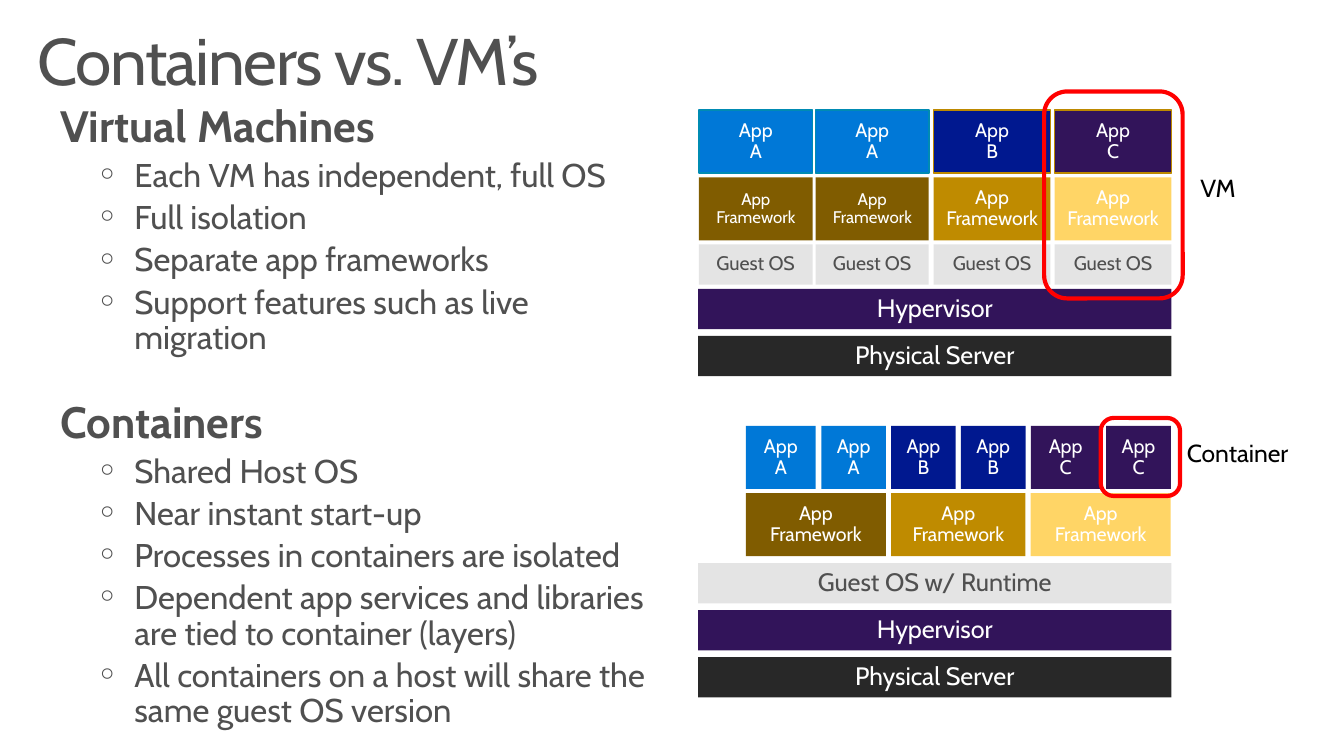
import pptx
import pptx.util
import pptx.dml.color
import pptx.enum.shapes
import pptx.enum.text
import pptx.oxml.ns
import lxml.etree

Pt = pptx.util.Pt
SHAPES = pptx.enum.shapes.MSO_SHAPE
ANCHOR = pptx.enum.text.MSO_ANCHOR
CENTER = pptx.enum.text.PP_ALIGN.CENTER

FONT = "Cabin"
COLORS = {
    "text": "505050", "black": "000000", "white": "FFFFFF", "red": "FF0000",
    "blue": "0078D7", "navy": "00188F", "purple": "32145A",
    "brown": "805C00", "gold": "BF8B00", "yellow": "FFD566",
    "gray": "E4E4E4", "charcoal": "282828", "teal line": "008BB3", "gold line": "BD8900",
}

# Content
TITLE = "Containers vs. VM’s"
SECTIONS = [
    ("Virtual Machines", [
        "Each VM has independent, full OS",
        "Full isolation",
        "Separate app frameworks",
        "Support features such as live migration",
    ]),
    ("Containers", [
        "Shared Host OS",
        "Near instant start-up",
        "Processes in containers are isolated",
        "Dependent app services and libraries are tied to container (layers)",
        "All containers on a host will share the same guest OS version",
    ]),
]
# left, width, app, app fill, app line, framework fill, framework text size
VM_COLUMNS = [
    (374.4, 61, "A", "blue", "teal line", "brown", 9),
    (437, 60.6, "A", "blue", "teal line", "brown", 9),
    (500.2, 62.6, "B", "navy", "gold line", "gold", 10.5),
    (565, 62.6, "C", "purple", "gold line", "yellow", 10.5),
]
# left, width, app, app fill, framework fill, width of the first app
CONTAINER_GROUPS = [
    (399.6, 75, "A", "blue", "brown", 37.4),
    (477.4, 72, "B", "navy", "gold", 34.6),
    (552.2, 75, "C", "purple", "yellow", 37.4),
]
# text, fill, text colour
VM_BARS = [("Hypervisor", "purple", "white"), ("Physical Server", "charcoal", "white")]
CONTAINER_BARS = [("Guest OS w/ Runtime", "gray", "text")] + VM_BARS
# label, label left, top and width, outline left, top, width, height
CALLOUTS = [
    ("VM", 632.2, 87.1, 42.5, 559.4, 49, 74.2, 110.9),
    ("Container", 625, 229, 79.2, 589.7, 223.9, 42.5, 41.8),
]

# Layout
STACK_LEFT, STACK_WIDTH = 374, 253.6
BLOCK_HEIGHT, BAR_HEIGHT = 33.8, 21.6
BLOCK_STEP, BAR_STEP = 36, 25.2
VM_TOP, VM_BARS_TOP = 59, 154.8
CONTAINER_TOP, CONTAINER_BARS_TOP = 228.2, 301.7
SECOND_APP_WIDTH = 34.6

presentation = pptx.Presentation()
presentation.slide_width, presentation.slide_height = Pt(720), Pt(405)
slide = presentation.slides.add_slide(presentation.slide_layouts[6])


def rgb(name):
    return pptx.dml.color.RGBColor.from_string(COLORS[name])


def style(paragraph, size, color, bold=False):
    paragraph.line_spacing = 0.9
    font = paragraph.font
    font.name, font.size, font.bold = FONT, Pt(size), bold
    font.color.rgb = rgb(color)


def set_margins(frame, horizontal, vertical):
    frame.margin_left = frame.margin_right = Pt(horizontal)
    frame.margin_top = frame.margin_bottom = Pt(vertical)


def add_text_box(left, top, width, height, horizontal, vertical, wrap=True):
    frame = slide.shapes.add_textbox(Pt(left), Pt(top), Pt(width), Pt(height)).text_frame
    frame.word_wrap = wrap
    set_margins(frame, horizontal, vertical)
    return frame


def add_bullet(paragraph):
    properties = paragraph._p.get_or_add_pPr()
    properties.set("marL", str(Pt(39.6)))
    properties.set("indent", str(-Pt(20.2)))
    for tag, attribute, value in [("a:buSzPct", "val", "110000"),
                                  ("a:buFont", "typeface", FONT),
                                  ("a:buChar", "char", "◦")]:
        element = lxml.etree.SubElement(properties, pptx.oxml.ns.qn(tag))
        element.set(attribute, value)


def add_block(left, top, width, height, lines, fill, size, color="white", line=None):
    shape = slide.shapes.add_shape(SHAPES.RECTANGLE, Pt(left), Pt(top), Pt(width), Pt(height))
    shape.shadow.inherit = False
    shape.fill.solid()
    shape.fill.fore_color.rgb = rgb(fill)
    if line:
        shape.line.color.rgb = rgb(line)
        shape.line.width = Pt(0.85)
    else:
        shape.line.fill.background()
    frame = shape.text_frame
    frame.vertical_anchor = ANCHOR.MIDDLE
    set_margins(frame, 5, 5)
    frame.text = "\n".join(lines)
    for paragraph in frame.paragraphs:
        paragraph.alignment = CENTER
        style(paragraph, size, color)


def add_bars(bars, top):
    for index, (text, fill, color) in enumerate(bars):
        add_block(STACK_LEFT, top + index * BAR_STEP, STACK_WIDTH, BAR_HEIGHT,
                  [text], fill, 13.5, color)


# Title
title = add_text_box(8.6, 7.9, 688.3, 46, 11.5, 7.2).paragraphs[0]
title_run = title.add_run()
title_run.text = TITLE
style(title, 35.3, "text")
title_run._r.get_or_add_rPr().set("spc", "-80")

# Bulleted sections
body = add_text_box(20.9, 49, 345.6, 360.7, 11.5, 7.2)
for section_index, (heading, bullets) in enumerate(SECTIONS):
    paragraph = body.add_paragraph() if section_index else body.paragraphs[0]
    paragraph.text = heading
    style(paragraph, 23.5, "text", bold=True)
    paragraph.space_before = Pt(23.5 if section_index else 0)
    for bullet in bullets:
        paragraph = body.add_paragraph()
        paragraph.text = bullet
        add_bullet(paragraph)
        style(paragraph, 17.6, "text")
        paragraph.space_before = Pt(3.6)

# Virtual machine stack
for left, width, app, app_fill, app_line, framework_fill, size in VM_COLUMNS:
    add_block(left, VM_TOP, width, BLOCK_HEIGHT, ["App", app], app_fill, 10.5, line=app_line)
    add_block(left, VM_TOP + BLOCK_STEP, width, BLOCK_HEIGHT,
              ["App", "Framework"], framework_fill, size)
    add_block(left, VM_TOP + 2 * BLOCK_STEP, width, BAR_HEIGHT,
              ["Guest OS"], "gray", 10.5, "text")
add_bars(VM_BARS, VM_BARS_TOP)

# Container stack
for left, width, app, app_fill, framework_fill, first_width in CONTAINER_GROUPS:
    second_left = left + width - SECOND_APP_WIDTH
    for app_left, app_width in [(left, first_width), (second_left, SECOND_APP_WIDTH)]:
        add_block(app_left, CONTAINER_TOP, app_width, BLOCK_HEIGHT, ["App", app], app_fill, 10.5)
    add_block(left, CONTAINER_TOP + BLOCK_STEP, width, BLOCK_HEIGHT,
              ["App", "Framework"], framework_fill, 10.5)
add_bars(CONTAINER_BARS, CONTAINER_BARS_TOP)

# Red outlines and their labels
for label, label_left, label_top, label_width, left, top, width, height in CALLOUTS:
    outline = slide.shapes.add_shape(SHAPES.ROUNDED_RECTANGLE,
                                     Pt(left), Pt(top), Pt(width), Pt(height))
    outline.shadow.inherit = False
    outline.fill.background()
    outline.line.color.rgb = rgb("red")
    outline.line.width = Pt(2.25)
    paragraph = add_text_box(label_left, label_top, label_width, 31.7,
                             10.8, 8.6, wrap=False).paragraphs[0]
    paragraph.text = label
    style(paragraph, 13.2, "black")

presentation.save("out.pptx")
